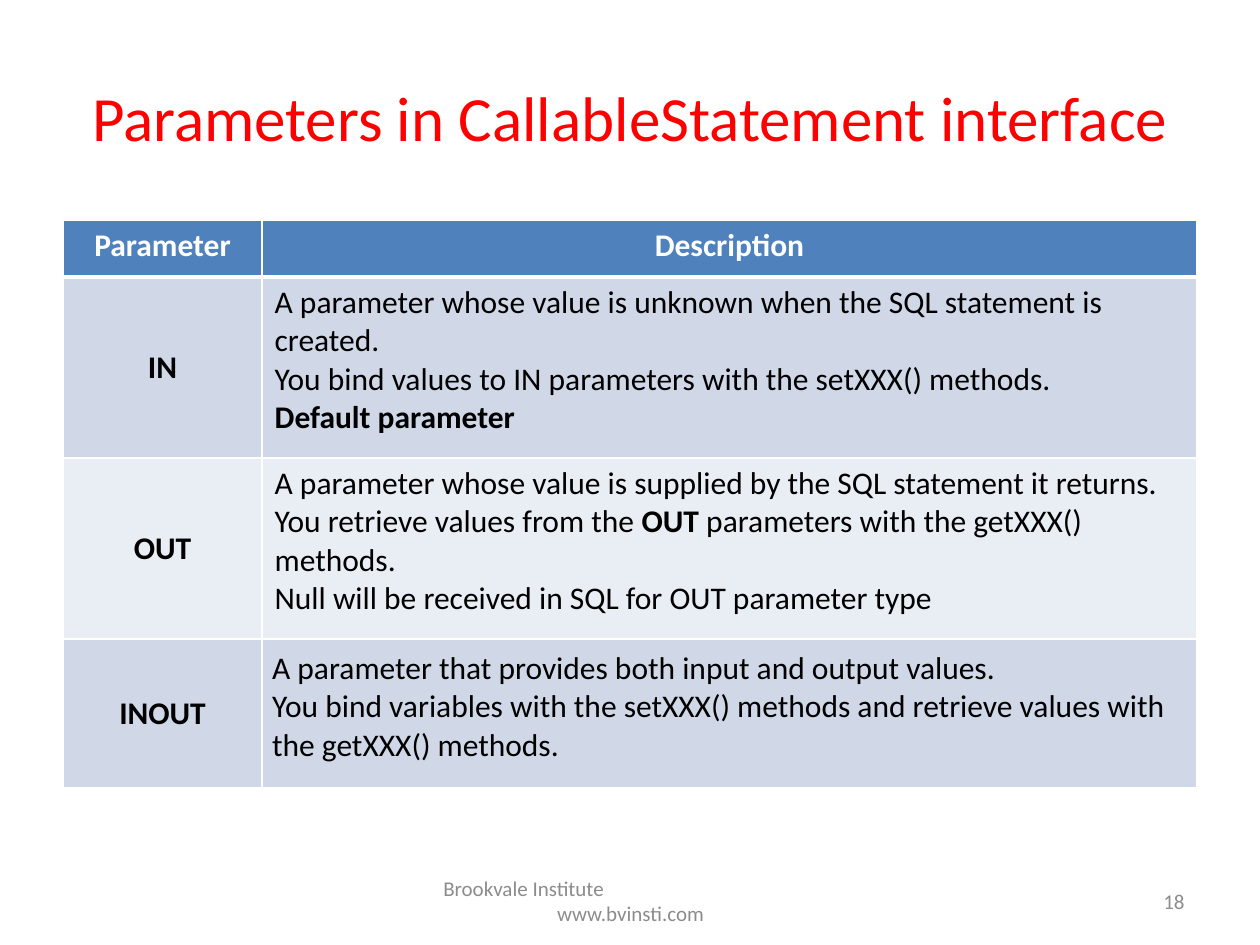
from dataclasses import dataclass
from lxml.etree import SubElement as Sub
from pptx import Presentation as Deck
from pptx.dml.color import RGBColor as Rgb
from pptx.enum.text import MSO_ANCHOR as Anchor, PP_ALIGN as Align
from pptx.oxml.ns import qn
from pptx.util import Inches, Pt

WIDE, HIGH = 10, 7.5
COLS, ROWS = 200, 150


@dataclass(frozen=True)
class Theme:
    face: str = "Calibri"
    head: int = 36
    body: int = 18
    foot: int = 12
    red: str = "FF0000"
    black: str = "000000"
    white: str = "FFFFFF"
    gray: str = "8C8C8C"
    blue: str = "4F81BD"
    bands: tuple = ("D0D8E8", "E9EDF4")
    thin: int = 1
    thick: int = 3


T = Theme()


def grid(col, row, wide, high):
    x, y = WIDE / COLS, HIGH / ROWS
    return [Inches(n) for n in (col * x, row * y, wide * x, high * y)]


def apply(thing, form):
    for name, value in form.items():
        setattr(thing, name, value)


def write(frame, paras, size, color, aligns):
    for i, (runs, align) in enumerate(zip(paras, aligns)):
        para = frame.paragraphs[0] if i == 0 else frame.add_paragraph()
        para.alignment = align
        for text, bold in runs:
            run = para.add_run()
            run.text = text
            apply(run.font, {"name": T.face, "size": Pt(size), "bold": bold})
            run.font.color.rgb = Rgb.from_string(color)


def label(slide, box, paras, size, color, aligns):
    frame = slide.shapes.add_textbox(*box).text_frame
    apply(frame, {"word_wrap": True, "vertical_anchor": Anchor.MIDDLE})
    write(frame, paras, size, color, aligns)


def edge(cell, top, base):
    props = cell._tc.get_or_add_tcPr()
    sides = {"lnL": T.thin, "lnR": T.thin, "lnT": top, "lnB": base}
    for i, (side, width) in enumerate(sides.items()):
        line = Sub(props, qn("a:" + side), w=str(Pt(width)))
        fill = Sub(line, qn("a:solidFill"))
        Sub(fill, qn("a:srgbClr"), val=T.white)
        props.insert(i, line)


def title(slide, box):
    text = "Parameters in CallableStatement interface"
    label(slide, box, [[(text, False)]], T.head, T.red, [Align.CENTER])


def table(slide, box, wides, highs, rows):
    grid = slide.shapes.add_table(len(rows), len(wides), *box).table
    for col, share in zip(grid.columns, wides):
        col.width = int(box[2] * share / sum(wides))
    for row, share in zip(grid.rows, highs):
        row.height = int(box[3] * share / sum(highs))
    for r, row in enumerate(rows):
        head = r == 0
        for c, paras in enumerate(row):
            cell = grid.cell(r, c)
            mid = head or c == 0
            if c == 0 and not head:
                cell.vertical_anchor = Anchor.MIDDLE
            cell.fill.solid()
            tint = T.blue if head else T.bands[(r - 1) % 2]
            cell.fill.fore_color.rgb = Rgb.from_string(tint)
            edge(cell, T.thick if r == 1 else T.thin, T.thick if head else T.thin)
            ink = T.white if head else T.black
            align = Align.CENTER if mid else Align.LEFT
            write(cell.text_frame, paras, T.body, ink, [align] * len(paras))
    pad = Inches(0.08)
    sides = ("left", "top", "right", "bottom")
    apply(grid.cell(len(rows) - 1, 1), {"margin_" + side: pad for side in sides})


def footer(slide, name, page):
    paras = [[("Brookvale Institute", False)], [("www.bvinsti.com", False)]]
    label(slide, name, paras, T.foot, T.gray, [Align.LEFT, Align.CENTER])
    label(slide, page, [[("18", False)]], T.foot, T.gray, [Align.RIGHT])


def main():
    rows = [
        [[[("Parameter", True)]], [[("Description", True)]]],
        [[[("IN", True)]], [
            [("A parameter whose value is unknown when the SQL statement is created.", False)],
            [("You bind values to IN parameters with the setXXX() methods.", False)],
            [("Default parameter", True)]]],
        [[[("OUT", True)]], [
            [("A parameter whose value is supplied by the SQL statement it returns. "
              "You retrieve values from the ", False),
             ("OUT ", True),
             ("parameters with the getXXX() methods.", False)],
            [("Null will be received in SQL for OUT parameter type", False)]]],
        [[[("INOUT", True)]], [
            [("A parameter that provides both input and output values.", False)],
            [("You bind variables with the setXXX() methods and retrieve values "
              "with the getXXX() methods.", False)]]],
    ]
    deck = Deck()
    apply(deck, {"slide_width": Inches(WIDE), "slide_height": Inches(HIGH)})
    slide = deck.slides.add_slide(deck.slide_layouts[6])
    title(slide, grid(10, 6, 180, 25))
    table(slide, grid(10, 35, 180, 90), (1.58, 7.42), (0.45, 1.44, 1.44, 1.18), rows)
    footer(slide, grid(68.4, 139, 63.4, 8), grid(143.4, 139, 46.6, 8))
    deck.save("out.pptx")


if __name__ == "__main__":
    main()
